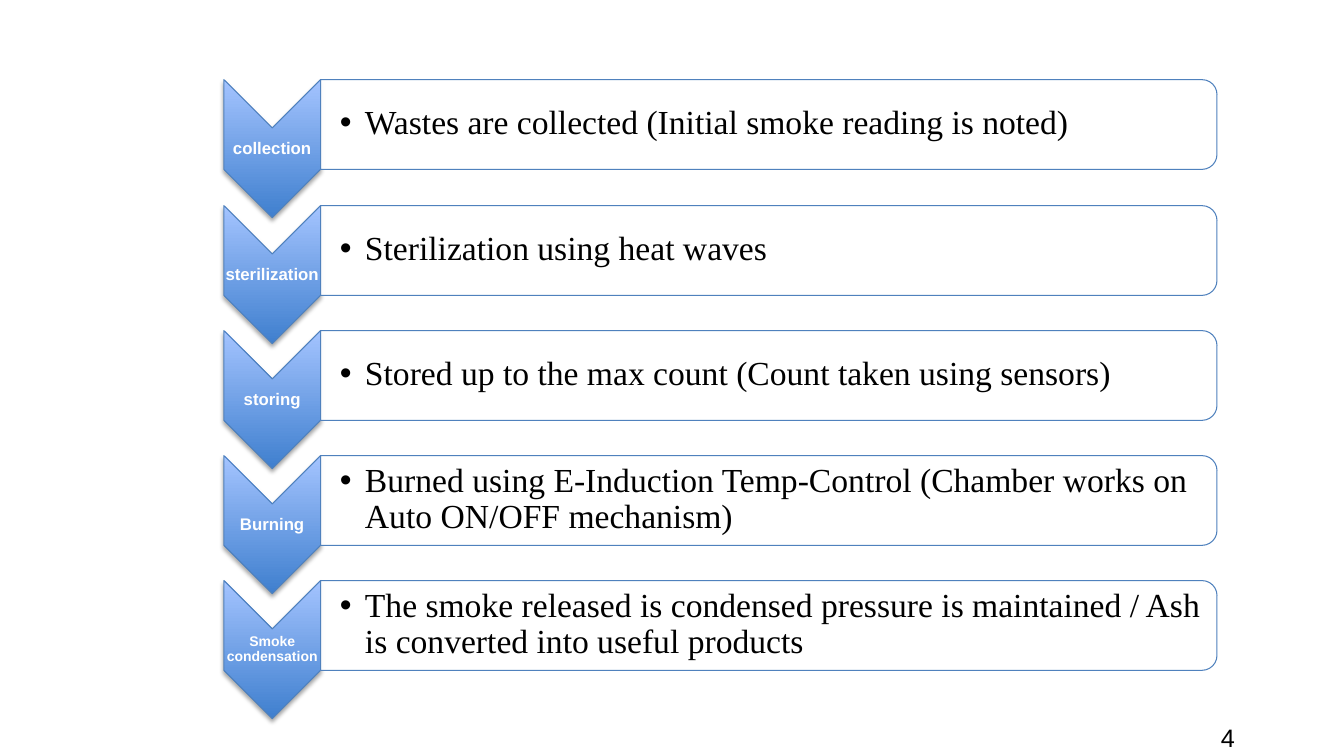
from dataclasses import dataclass
from math import ceil
from typing import Any

from lxml import etree
from pptx import Presentation
from pptx import util as u
from pptx.dml.color import RGBColor
from pptx.enum import shapes, text
from pptx.oxml.ns import qn
from pptx.shapes.autoshape import Shape
from pptx.slide import Slide

EMU_PER_PX = 9144


@dataclass(frozen=True)
class Theme:
    outline: str = "4F81BD"
    arrow_bottom: str = "3F7FCE"
    arrow_top: str = "A4C4FF"
    white: str = "FFFFFF"
    black: str = "000000"
    sans: str = "Arial"
    serif: str = "Times New Roman"
    label_size: int = 12
    small_label_size: int = 10
    body_size: int = 24
    number_size: int = 18
    outline_width: float = 0.75


@dataclass(frozen=True)
class Box:
    left: int
    top: int
    width: int
    height: int


@dataclass(frozen=True)
class Step:
    label: str
    detail: str
    label_size: int


THEME = Theme()
STEPS = [
    Step("collection", "Wastes are collected (Initial smoke reading is noted)", THEME.label_size),
    Step("sterilization", "Sterilization using heat waves", THEME.label_size),
    Step("storing", "Stored up to the max count (Count taken using sensors)", THEME.label_size),
    Step("Burning", "Burned using E-Induction Temp-Control (Chamber works on Auto ON/OFF mechanism)",
         THEME.label_size),
    Step("Smoke condensation",
         "The smoke released is condensed pressure is maintained / Ash is converted into useful products",
         THEME.small_label_size),
]
FIRST_TOP, LAST_TOP = 79, 576
ARROW_LEFT, ARROW_WIDTH, ARROW_HEIGHT = 222, 96, 137
PANEL_LEFT, PANEL_WIDTH, PANEL_HEIGHT = 318, 889, 89


def px(length: float) -> u.Emu:
    return u.Emu(round(length * EMU_PER_PX))


def apply(target: Any, values: dict[str, Any]) -> None:
    for name, value in values.items():
        setattr(target, name, value)


def add_element(parent: Any, tag: str, **attributes: str) -> Any:
    return etree.SubElement(parent, qn(tag), attributes)


def add_turned_shape(slide: Slide, kind: Any, box: Box) -> Shape:
    left = box.left + (box.width - box.height) / 2
    top = box.top + (box.height - box.width) / 2
    turned = slide.shapes.add_shape(kind, px(left), px(top), px(box.height), px(box.width))
    turned.rotation = 90
    turned.shadow.inherit = False
    turned.line.color.rgb = RGBColor.from_string(THEME.outline)
    turned.line.width = u.Pt(THEME.outline_width)
    return turned


def add_arrow(slide: Slide, box: Box) -> None:
    arrow = add_turned_shape(slide, shapes.MSO_SHAPE.CHEVRON, box)
    arrow.fill.gradient()
    arrow.fill.gradient_angle = 90
    for stop, color in zip(arrow.fill.gradient_stops, (THEME.arrow_bottom, THEME.arrow_top)):
        stop.color.rgb = RGBColor.from_string(color)
    properties = arrow.element.spPr
    properties.find(qn("a:gradFill")).set("rotWithShape", "0")
    shadow = add_element(properties.find(qn("a:effectLst")), "a:outerShdw", blurRad="40000",
                         dist="23000", dir="5400000", rotWithShape="0")
    shade = add_element(shadow, "a:srgbClr", val=THEME.black)
    add_element(shade, "a:alpha", val="35000")


def add_panel(slide: Slide, box: Box) -> None:
    panel = add_turned_shape(slide, shapes.MSO_SHAPE.ROUND_2_SAME_RECTANGLE, box)
    panel.fill.solid()
    panel.fill.fore_color.rgb = RGBColor.from_string(THEME.white)
    color = panel.element.spPr.find(qn("a:solidFill")).find(qn("a:srgbClr"))
    add_element(color, "a:alpha", val="90000")


def add_text(slide: Slide, box: Box, words: str, color: str, frame_format: dict[str, Any],
             paragraph_format: dict[str, Any], font_format: dict[str, Any]) -> Any:
    holder = slide.shapes.add_textbox(px(box.left), px(box.top), px(box.width), px(box.height))
    frame = holder.text_frame
    apply(frame, {"word_wrap": True} | frame_format)
    paragraph = frame.paragraphs[0]
    apply(paragraph, paragraph_format)
    run = paragraph.add_run()
    run.text = words
    apply(run.font, font_format)
    run.font.color.rgb = RGBColor.from_string(color)
    return paragraph


def margins(left: int, other: int) -> dict[str, u.Emu]:
    return {"margin_left": px(left), "margin_top": px(other),
            "margin_right": px(other), "margin_bottom": px(other)}


def add_bullet(paragraph: Any) -> None:
    properties = paragraph._p.get_or_add_pPr()
    properties.set("marL", str(px(25)))
    properties.set("indent", str(px(-25)))
    bullet_color = add_element(properties, "a:buClr")
    add_element(bullet_color, "a:srgbClr", val=THEME.black)
    add_element(properties, "a:buFont", typeface=THEME.sans)
    add_element(properties, "a:buChar", char="•")


def add_step(slide: Slide, step: Step, top: int) -> None:
    middle = {"vertical_anchor": text.MSO_ANCHOR.MIDDLE}
    add_arrow(slide, Box(ARROW_LEFT, top, ARROW_WIDTH, ARROW_HEIGHT))
    add_text(slide, Box(ARROW_LEFT, top + 48, ARROW_WIDTH, 41), step.label, THEME.white,
             middle | margins(1, 1),
             {"alignment": text.PP_ALIGN.CENTER, "line_spacing": 0.9,
              "space_after": u.Pt(step.label_size * 0.35)},
             {"size": u.Pt(step.label_size), "name": THEME.sans, "bold": True})
    add_panel(slide, Box(PANEL_LEFT, top, PANEL_WIDTH, PANEL_HEIGHT))
    detail = add_text(slide, Box(PANEL_LEFT, top + 4, 884, 80), step.detail, THEME.black,
                      middle | margins(19, 2),
                      {"level": 1, "line_spacing": 0.9,
                       "space_after": u.Pt(THEME.body_size * 0.15)},
                      {"size": u.Pt(THEME.body_size), "name": THEME.serif})
    add_bullet(detail)


def add_slide_number(slide: Slide) -> None:
    number = add_text(slide, Box(1207, 712, 27, 31), "4", THEME.black,
                      {"auto_size": text.MSO_AUTO_SIZE.SHAPE_TO_FIT_TEXT} | margins(0, 0),
                      {"line_spacing": 1.16},
                      {"size": u.Pt(THEME.number_size), "name": THEME.sans})
    number._p.get_or_add_pPr().set("marL", str(px(4)))


def main() -> None:
    deck = Presentation()
    apply(deck, {"slide_width": px(1333), "slide_height": px(750)})
    slide = deck.slides.add_slide(deck.slide_layouts[6])
    add_slide_number(slide)
    for index, step in enumerate(STEPS):
        top = FIRST_TOP + ceil((LAST_TOP - FIRST_TOP) * index / (len(STEPS) - 1))
        add_step(slide, step, top)
    deck.save("out.pptx")


if __name__ == "__main__":
    main()
